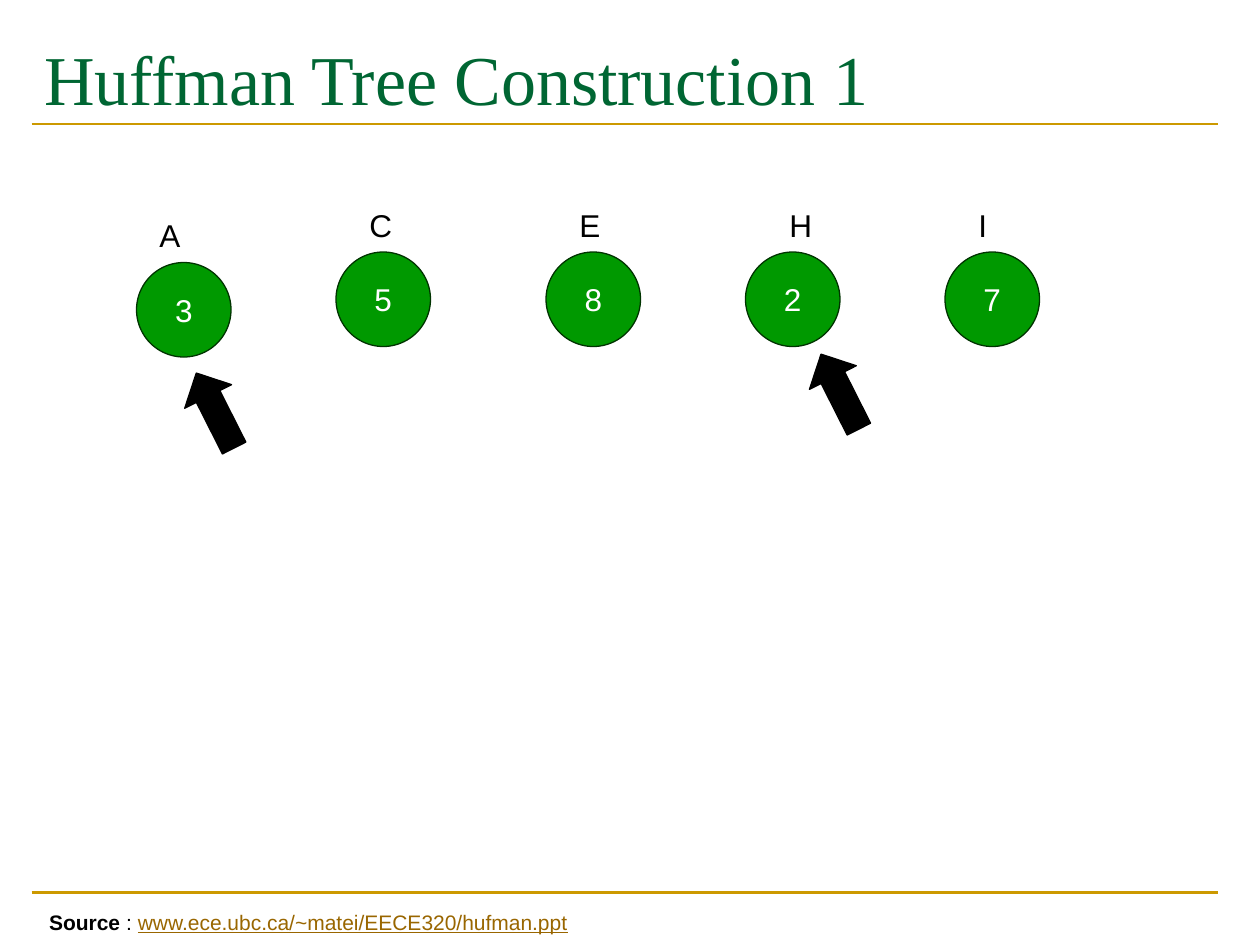
from dataclasses import dataclass

import pptx
import pptx.dml.color
import pptx.enum.shapes
import pptx.enum.text
import pptx.oxml
import pptx.oxml.ns
import pptx.util

COLORS = {"title": "006633", "rule": "CC9900", "node": "009900", "edge": "003300",
          "white": "FFFFFF", "black": "000000", "link": "996600"}
WIDTH, HEIGHT = pptx.util.Inches(10), pptx.util.Inches(7.5)
COLS, ROWS = 120, 90
NODE_SIZE = 9
ARROW_W, ARROW_H, ARROW_ANGLE = 8, 5, 243.2
ALIGN = pptx.enum.text.PP_ALIGN
ANCHOR = pptx.enum.text.MSO_ANCHOR
SHAPE = pptx.enum.shapes.MSO_SHAPE


@dataclass
class Node:
    symbol: str
    weight: int
    col: float
    row: float
    label_col: float
    label_cols: float = 5.25


@dataclass
class Arrow:
    col: float
    row: float


NODES = [
    Node("A", 3, 13, 25, 14),
    Node("C", 5, 32, 24, 34),
    Node("E", 8, 52, 24, 54, 5),
    Node("H", 2, 71, 24, 74),
    Node("I", 7, 90, 24, 92, 3.5),
]
ARROWS = [Arrow(16.5, 36.6), Arrow(76, 34.8)]
TEXT = {"name": "Arial", "size": pptx.util.Pt(18), "bold": False}
SOURCE = {**TEXT, "size": pptx.util.Pt(12)}
TITLE = {**TEXT, "name": "Times New Roman", "size": pptx.util.Pt(40)}


def x(cols: float) -> int:
    return round(WIDTH * cols / COLS)


def y(rows: float) -> int:
    return round(HEIGHT * rows / ROWS)


def rgb(name: str) -> pptx.dml.color.RGBColor:
    return pptx.dml.color.RGBColor.from_string(COLORS[name])


def set_attrs(target, values: dict) -> None:
    for key, value in values.items():
        setattr(target, key, value)


def add_run(p, text: str, color: str, font: dict) -> None:
    r = p.add_run()
    r.text = text
    set_attrs(r.font, font)
    r.font.color.rgb = rgb(color)


def add_filled(s, kind, col: float, row: float, cols: float, rows: float,
               fill: str, line: str):
    sp = s.shapes.add_shape(kind, x(col), y(row), x(cols), y(rows))
    sp.shadow.inherit = False
    sp.fill.solid()
    sp.fill.fore_color.rgb = rgb(fill)
    sp.line.color.rgb = rgb(line)
    sp.line.width = pptx.util.Pt(0.75)
    return sp


def add_text_box(s, col: float, row: float, cols: float, rows: float, wrap: bool):
    """Add a text box that grows with its text and return its first paragraph."""
    tf = s.shapes.add_textbox(x(col), y(row), x(cols), y(rows)).text_frame
    set_attrs(tf, {"word_wrap": wrap,
                   "auto_size": pptx.enum.text.MSO_AUTO_SIZE.SHAPE_TO_FIT_TEXT})
    return tf.paragraphs[0]


def add_rule(s, row: float) -> None:
    line = s.shapes.add_connector(pptx.enum.shapes.MSO_CONNECTOR.STRAIGHT,
                                  x(3), y(row), x(116), y(row))
    line.line.color.rgb = rgb("rule")
    line.line.width = pptx.util.Pt(1.5)
    properties = line.element.find(pptx.oxml.ns.qn("p:spPr"))
    properties.append(pptx.oxml.parse_xml(
        f"<a:effectLst {pptx.oxml.ns.nsdecls('a')}/>"))


def add_title(s, text: str) -> None:
    sp = s.shapes.title
    set_attrs(sp, {"left": x(3), "top": y(2), "width": x(113), "height": y(14)})
    tf = sp.text_frame
    set_attrs(tf, {"vertical_anchor": ANCHOR.TOP, "margin_top": y(1.4),
                   "auto_size": pptx.enum.text.MSO_AUTO_SIZE.NONE})
    p = tf.paragraphs[0]
    p.alignment = ALIGN.LEFT
    add_run(p, text, "title", TITLE)


def add_node(s, node: Node) -> None:
    sp = add_filled(s, SHAPE.OVAL, node.col, node.row, NODE_SIZE, NODE_SIZE,
                    "node", "edge")
    tf = sp.text_frame
    set_attrs(tf, {"word_wrap": False, "vertical_anchor": ANCHOR.MIDDLE})
    p = tf.paragraphs[0]
    p.alignment = ALIGN.CENTER
    add_run(p, str(node.weight), "white", TEXT)
    p = add_text_box(s, node.label_col, node.row - 5, node.label_cols, 6, False)
    add_run(p, node.symbol, "black", TEXT)


def add_arrow(s, arrow: Arrow) -> None:
    sp = add_filled(s, SHAPE.RIGHT_ARROW, arrow.col, arrow.row, ARROW_W, ARROW_H,
                    "black", "black")
    sp.rotation = ARROW_ANGLE


def add_source(s) -> None:
    p = add_text_box(s, 3.5, 86, 90, 3.6, True)
    add_run(p, "Source", "black", {**SOURCE, "bold": True})
    add_run(p, " : ", "black", SOURCE)
    add_run(p, "www.ece.ubc.ca/~matei/EECE320/hufman.ppt", "link",
            {**SOURCE, "underline": True})


def main() -> None:
    prs = pptx.Presentation()
    set_attrs(prs, {"slide_width": WIDTH, "slide_height": HEIGHT})
    s = prs.slides.add_slide(prs.slide_layouts[5])
    for row in (85, 11.8):
        add_rule(s, row)
    add_title(s, "Huffman Tree Construction 1")
    for node in NODES:
        add_node(s, node)
    add_source(s)
    for arrow in ARROWS:
        add_arrow(s, arrow)
    prs.save("out.pptx")


if __name__ == "__main__":
    main()
